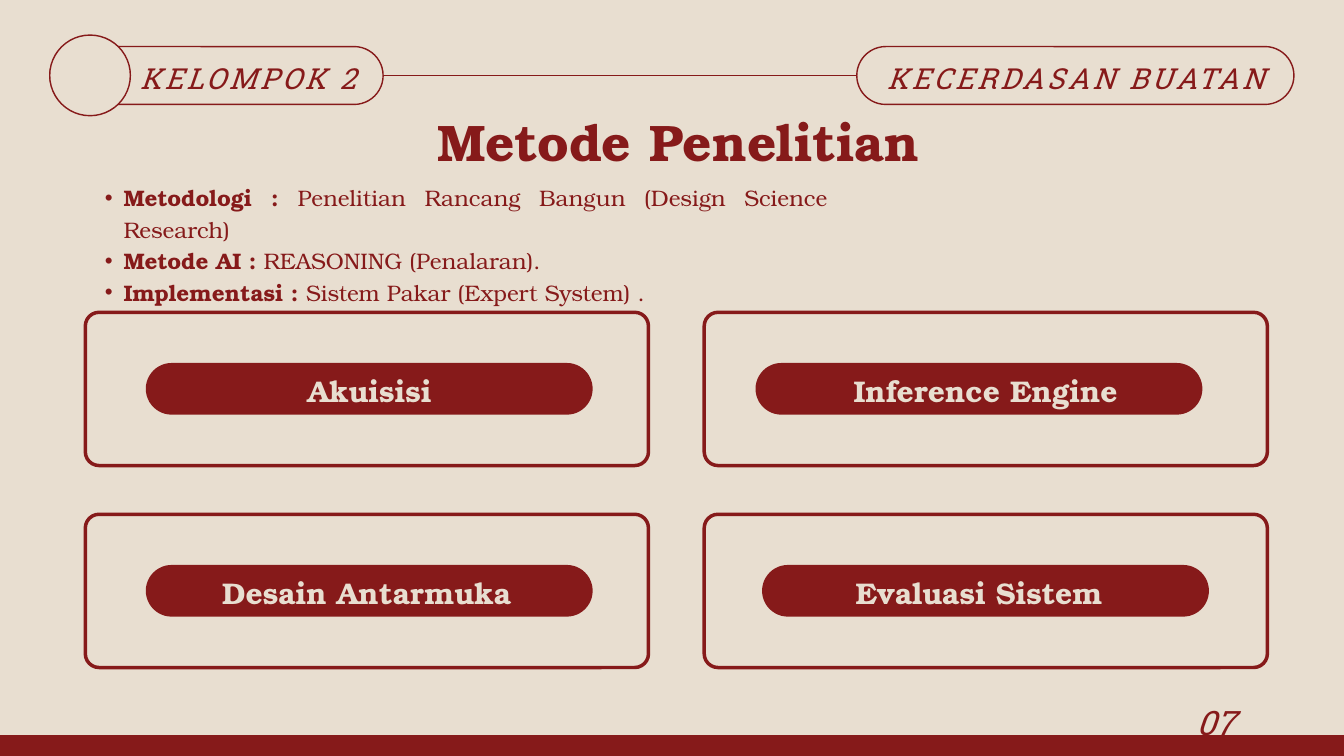
from lxml import etree
from pptx import Presentation
from pptx.dml.color import RGBColor
from pptx.enum.shapes import MSO_CONNECTOR, MSO_SHAPE
from pptx.enum.text import PP_ALIGN
from pptx.oxml.ns import qn
from pptx.util import Pt

RECT = MSO_SHAPE.RECTANGLE
ROUNDED = MSO_SHAPE.ROUNDED_RECTANGLE
OVAL = MSO_SHAPE.OVAL
STRAIGHT = MSO_CONNECTOR.STRAIGHT
CENTER = PP_ALIGN.CENTER
JUSTIFY = PP_ALIGN.JUSTIFY

COLORS = {"maroon": "861A1A", "cream": "E8DED0"}
SERIF = "TeX Gyre Bonum"
SLAB = "Roboto Slab"


class SlideStyle:
    """Holds the slide and draws its elements in the maroon and cream style."""

    def __init__(self, slide):
        self.slide = slide
        self.shapes = slide.shapes

    def color(self, name):
        return RGBColor.from_string(COLORS[name])

    def background(self, name):
        fill = self.slide.background.fill
        fill.solid()
        fill.fore_color.rgb = self.color(name)

    def shape(self, kind, left, top, width, height, fill=None, line=None, radius=None):
        shape = self.shapes.add_shape(kind, Pt(left), Pt(top), Pt(width), Pt(height))
        shape.shadow.inherit = False
        if radius is not None:
            shape.adjustments[0] = radius
        if fill:
            shape.fill.solid()
            shape.fill.fore_color.rgb = self.color(fill)
        else:
            shape.fill.background()
        if line:
            shape.line.color.rgb = self.color("maroon")
            shape.line.width = Pt(line)
        else:
            shape.line.fill.background()
        return shape

    def join(self, start, end):
        connector = self.shapes.add_connector(STRAIGHT, 0, 0, 0, 0)
        connector.begin_connect(start, 3)
        connector.end_connect(end, 1)
        connector.line.color.rgb = self.color("maroon")
        connector.line.width = Pt(1.5)
        etree.SubElement(connector._element.spPr, qn("a:effectLst"))

    def frame(self, left, top, width, height):
        frame = self.shapes.add_textbox(Pt(left), Pt(top), Pt(width), Pt(height)).text_frame
        frame.word_wrap = True
        frame.margin_left = frame.margin_right = frame.margin_top = frame.margin_bottom = 0
        return frame

    def format(self, paragraph, size, name, color, align):
        paragraph.alignment = align
        paragraph.line_spacing = Pt(round(size * 1.4, 1))
        paragraph.font.size = Pt(size)
        paragraph.font.name = name
        paragraph.font.color.rgb = self.color(color)

    def text(self, words, left, top, width, height, size, color="maroon"):
        paragraph = self.frame(left, top, width, height).paragraphs[0]
        paragraph.add_run().text = words
        self.format(paragraph, size, SERIF, color, CENTER)
        paragraph.font.bold = True

    def slanted(self, words, left, top, width, height, size, spacing=0):
        paragraph = self.frame(left, top, width, height).paragraphs[0]
        run = paragraph.add_run()
        run.text = words
        if spacing:
            run._r.get_or_add_rPr().set("spc", str(spacing))
        self.format(paragraph, size, SLAB, "maroon", CENTER)
        paragraph.font.italic = True

    def bullets(self, items, left, top, width, height, size):
        frame = self.frame(left, top, width, height)
        for index, (term, detail) in enumerate(items):
            paragraph = frame.add_paragraph() if index else frame.paragraphs[0]
            properties = paragraph._p.get_or_add_pPr()
            properties.set("marL", str(Pt(41)))
            properties.set("indent", str(Pt(-20)))
            etree.SubElement(properties, qn("a:buFont"), typeface="Arial")
            etree.SubElement(properties, qn("a:buChar"), char="•")
            for words, bold in ((term, True), (detail, False)):
                run = paragraph.add_run()
                run.text = words
                run.font.bold = bold
            self.format(paragraph, size, SERIF, "maroon", JUSTIFY)


def main():
    deck = Presentation()
    deck.slide_width, deck.slide_height = Pt(1440), Pt(810)
    style = SlideStyle(deck.slides.add_slide(deck.slide_layouts[6]))
    style.background("cream")

    style.shape(RECT, 0, 787.7, 1440, 22.3, fill="maroon")
    style.slanted("07", 1256.4, 744.5, 91.4, 49, 36)

    group_badge = style.shape(ROUNDED, 53.3, 49.9, 357.2, 62, line=1.5, radius=0.5)
    course_badge = style.shape(ROUNDED, 918, 49.9, 468.4, 62, line=1.5, radius=0.5)
    style.join(group_badge, course_badge)
    style.slanted("KELOMPOK 2", 148.3, 58.3, 234.7, 41, 31, spacing=370)
    style.slanted("KECERDASAN BUATAN", 946.1, 58.3, 413.3, 41, 31, spacing=370)
    style.shape(OVAL, 53.3, 37.6, 86.4, 86.4, fill="cream", line=1.5)

    style.text("Metode Penelitian", 385.9, 107.3, 681.8, 74.2, 55)
    style.bullets([
        ("Metodologi : ", "Penelitian Rancang Bangun (Design Science Research)"),
        ("Metode AI :", " REASONING (Penalaran)."),
        ("Implementasi : ", "Sistem Pakar (Expert System) ."),
    ], 91.4, 193, 794.9, 97.9, 24)

    stages = [
        ("Akuisisi", 156.2, 218.2),
        ("Inference Engine", 809.5, 878.4),
        ("Desain Antarmuka", 156.2, 215.3),
        ("Evaluasi Sistem", 816.5, 871.2),
    ]
    for index, (stage, pill_left, label_left) in enumerate(stages):
        row, column = divmod(index, 2)
        top = 334.6 + row * 216.4
        style.shape(ROUNDED, 91.4 + column * 663.1, top, 603.4, 164.2, line=3.75, radius=0.09)
        style.shape(ROUNDED, pill_left, top + 54.3, 478.8, 55.4, fill="maroon", radius=0.5)
        style.text(stage, label_left, top + 58.4, 355.7, 43.2, 32, "cream")

    deck.save("out.pptx")


if __name__ == "__main__":
    main()
